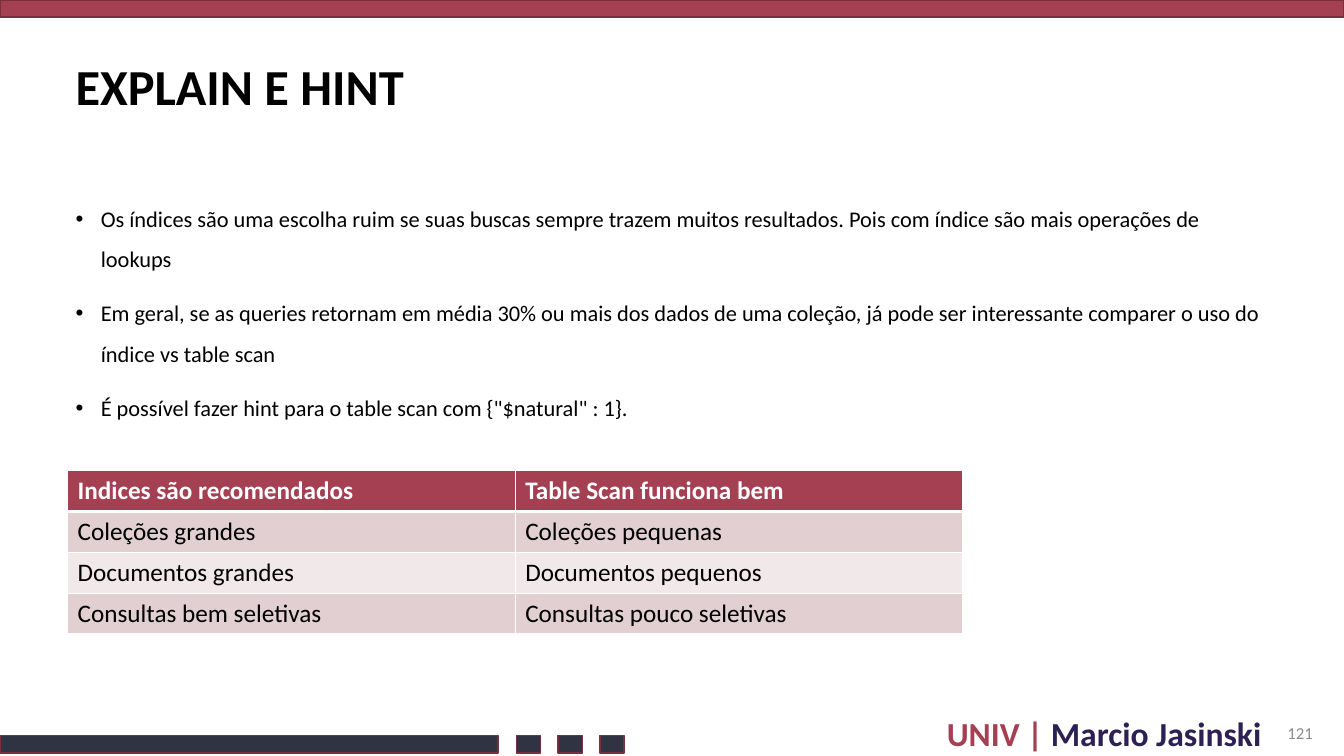
import pptx
import pptx.dml.color
import pptx.enum.shapes
import pptx.enum.text
import pptx.oxml
import pptx.oxml.ns
import pptx.util
from dataclasses import dataclass
from lxml import etree
from pptx.util import Inches


@dataclass(frozen=True)
class Theme:
    font: str = "Calibri"
    wine: str = "A53F52"
    wine_dark: str = "7A2F3D"
    slate: str = "2F3342"
    indigo: str = "2C2153"
    gray: str = "8C8C8C"
    black: str = "000000"
    white: str = "FFFFFF"
    band_dark: str = "E1CFD1"
    band_light: str = "F0E8E9"
    title_size: int = 36
    brand_size: int = 24
    table_size: int = 18
    body_size: int = 16
    number_size: int = 12


theme = Theme()


def rgb(color):
    return pptx.dml.color.RGBColor.from_string(color)


def add_text(paragraph, text, size, color=theme.black, bold=False):
    """Append a formatted run to the paragraph."""
    run = paragraph.add_run()
    run.text = text
    run.font.name = theme.font
    run.font.size = pptx.util.Pt(size)
    run.font.bold = bold
    run.font.color.rgb = rgb(color)


presentation = pptx.Presentation()
presentation.slide_width = Inches(13.33)
presentation.slide_height = Inches(7.5)
slide = presentation.slides.add_slide(presentation.slide_layouts[1])

# Top band, footer bar and footer squares
bars = [(0, 0, 13.33, theme.wine), (0, 7.3, 4.94, theme.slate)]
bars += [(5.12 + 0.415 * index, 7.3, 0.24, theme.slate) for index in range(3)]
for left, top, width, color in bars:
    bar = slide.shapes.add_shape(
        pptx.enum.shapes.MSO_SHAPE.RECTANGLE,
        Inches(left), Inches(top), Inches(width), Inches(0.17))
    bar.shadow.inherit = False
    bar.fill.solid()
    bar.fill.fore_color.rgb = rgb(color)
    bar.line.color.rgb = rgb(theme.wine_dark)
    bar.line.width = pptx.util.Pt(1)

# Footer signature
signature = slide.shapes.add_textbox(Inches(9.37), Inches(7.05), Inches(3.21), Inches(0.45))
frame = signature.text_frame
frame.word_wrap = False
frame.vertical_anchor = pptx.enum.text.MSO_ANCHOR.MIDDLE
frame.margin_left = frame.margin_right = Inches(0.02)
frame.margin_top = frame.margin_bottom = Inches(0.02)
add_text(frame.paragraphs[0], "UNIV | ", theme.brand_size, theme.wine, bold=True)
add_text(frame.paragraphs[0], "Marcio Jasinski", theme.brand_size, theme.indigo, bold=True)

# Page number
page_number = slide.shapes.add_textbox(Inches(12.63), Inches(7.07), Inches(0.49), Inches(0.4))
frame = page_number.text_frame
frame.word_wrap = True
frame.vertical_anchor = pptx.enum.text.MSO_ANCHOR.MIDDLE
frame.paragraphs[0].alignment = pptx.enum.text.PP_ALIGN.RIGHT
add_text(frame.paragraphs[0], "121", theme.number_size, theme.gray)

# Title
title = slide.shapes.title
title.left, title.top = Inches(0.65), Inches(0.4)
title.width, title.height = Inches(12.03), Inches(0.9)
title.text_frame.auto_size = pptx.enum.text.MSO_AUTO_SIZE.NONE
title.text_frame.vertical_anchor = pptx.enum.text.MSO_ANCHOR.MIDDLE
title.text_frame.paragraphs[0].alignment = pptx.enum.text.PP_ALIGN.LEFT
add_text(title.text_frame.paragraphs[0], "EXPLAIN E HINT", theme.title_size, bold=True)

# Bullets
bullets = [
    "Os índices são uma escolha ruim se suas buscas sempre trazem muitos resultados. "
    "Pois com índice são mais operações de lookups",
    "Em geral, se as queries retornam em média 30% ou mais dos dados de uma coleção, "
    "já pode ser interessante comparer o uso do índice vs table scan",
    'É possível fazer hint para o table scan com {"$natural" : 1}.',
]
body = slide.placeholders[1]
body.left, body.top = Inches(0.65), Inches(1.85)
body.width, body.height = Inches(12.02), Inches(4.91)
body.text_frame.auto_size = pptx.enum.text.MSO_AUTO_SIZE.NONE
for index, bullet in enumerate(bullets):
    paragraph = body.text_frame.add_paragraph() if index else body.text_frame.paragraphs[0]
    paragraph.line_spacing = 1.5
    paragraph.space_before = pptx.util.Pt(10)
    properties = paragraph._p.get_or_add_pPr()
    properties.set("marL", str(Inches(0.25)))
    properties.set("indent", str(-Inches(0.25)))
    etree.SubElement(properties, pptx.oxml.ns.qn("a:buFont"), typeface="Arial")
    etree.SubElement(properties, pptx.oxml.ns.qn("a:buChar"), char="•")
    add_text(paragraph, bullet, theme.body_size)

# Comparison table
rows = [
    ("Indices são recomendados", "Table Scan funciona bem"),
    ("Coleções grandes", "Coleções pequenas"),
    ("Documentos grandes", "Documentos pequenos"),
    ("Consultas bem seletivas", "Consultas pouco seletivas"),
]
row_fills = [theme.wine, theme.band_dark, theme.band_light, theme.band_dark]
table = slide.shapes.add_table(
    len(rows), 2, Inches(0.67), Inches(4.67), Inches(8.88), Inches(1.62)).table
for row_index, row in enumerate(rows):
    header = row_index == 0
    for column_index, text in enumerate(row):
        cell = table.cell(row_index, column_index)
        cell_properties = cell._tc.get_or_add_tcPr()
        for side in ("lnL", "lnR", "lnT", "lnB"):
            heavy = (header and side == "lnB") or (row_index == 1 and side == "lnT")
            cell_properties.append(pptx.oxml.parse_xml(
                f'<a:{side} {pptx.oxml.ns.nsdecls("a")} w="{pptx.util.Pt(3 if heavy else 1)}">'
                f'<a:solidFill><a:srgbClr val="{theme.white}"/></a:solidFill></a:{side}>'))
        cell.fill.solid()
        cell.fill.fore_color.rgb = rgb(row_fills[row_index])
        add_text(cell.text_frame.paragraphs[0], text, theme.table_size,
                 theme.white if header else theme.black, bold=header)

presentation.save("out.pptx")
